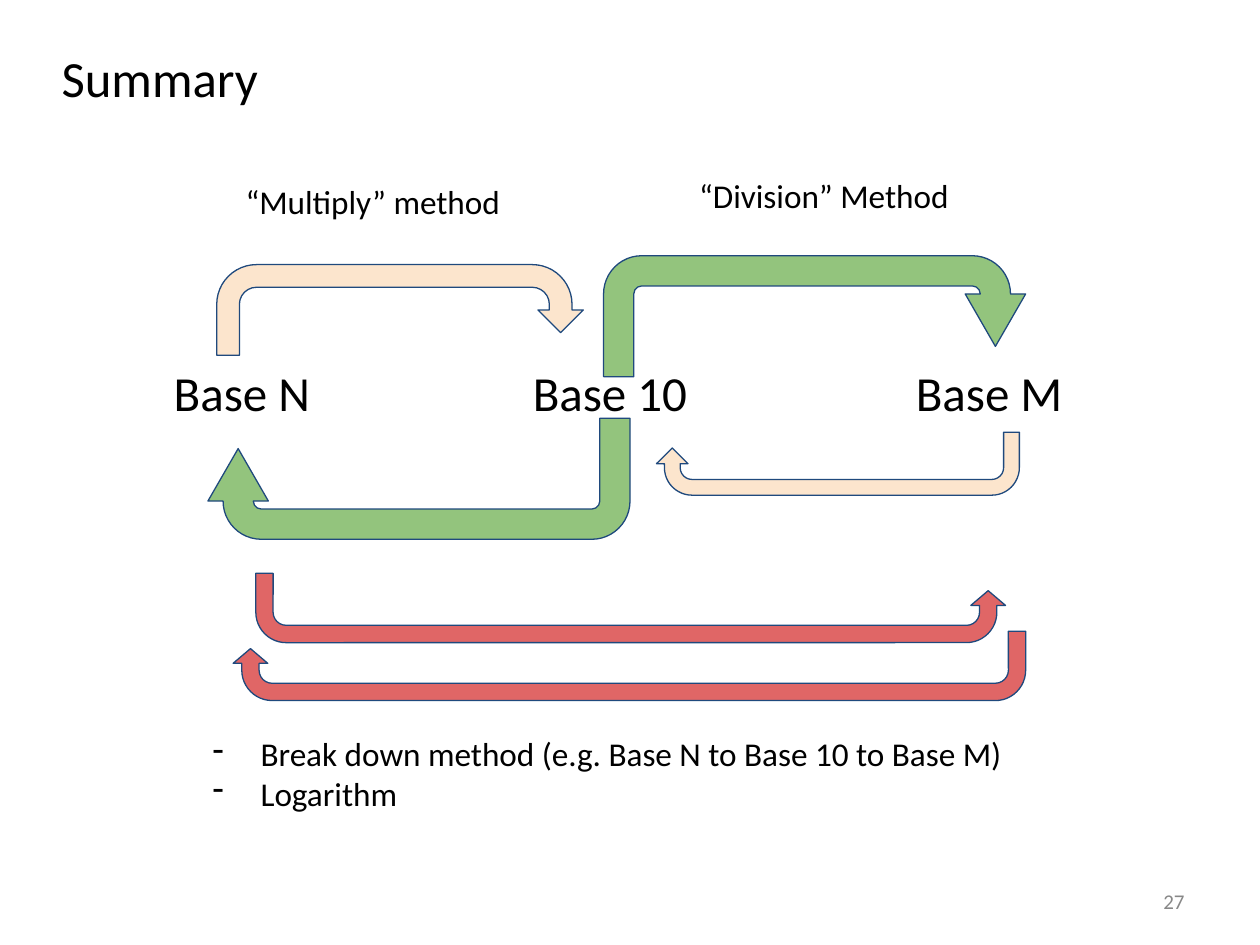
from dataclasses import dataclass

from lxml import etree
from pptx import Presentation, util as u
from pptx.dml.color import RGBColor
from pptx.enum import shapes, text
from pptx.oxml import ns


@dataclass(frozen=True)
class Theme:
    """Colours, font and type sizes of the slide."""
    font: str = "Calibri"
    ink: str = "000000"
    muted: str = "888888"
    outline: str = "1F497D"
    multiply: str = "FCE5CD"
    divide: str = "93C47D"
    direct: str = "E06666"
    heading: int = 29
    base: int = 28
    body: int = 19
    page: int = 12


THEME = Theme()
COLUMNS, ROWS = 100, 75
CELL = u.Inches(0.1)


def apply(target, values):
    """Set each named attribute of the target."""
    for name, value in values.items():
        setattr(target, name, value)


def cells(*lengths):
    """Convert grid columns and rows to slide lengths."""
    return [round(length * CELL) for length in lengths]


def add_dash(paragraph):
    """Give a paragraph a hanging dash."""
    properties = paragraph._p.get_or_add_pPr()
    properties.set("marL", str(u.Inches(0.5)))
    properties.set("indent", str(u.Inches(-0.38)))
    colour = etree.SubElement(properties, ns.qn("a:buClr"))
    etree.SubElement(colour, ns.qn("a:srgbClr"), val=THEME.ink)
    etree.SubElement(properties, ns.qn("a:buChar"), char="-")


def add_label(slide, box, lines, size, colour=THEME.ink, dashed=False,
              anchor=text.MSO_ANCHOR.TOP, align=text.PP_ALIGN.LEFT):
    """Add a text box with one paragraph per line."""
    frame = slide.shapes.add_textbox(*cells(*box)).text_frame
    apply(frame, {"word_wrap": True, "vertical_anchor": anchor})
    frame.text = "\n".join(lines)
    for paragraph in frame.paragraphs:
        paragraph.alignment = align
        apply(paragraph.font, {"name": THEME.font, "size": u.Pt(size)})
        paragraph.font.color.rgb = RGBColor.from_string(colour)
        if dashed:
            add_dash(paragraph)


def add_turn(slide, box, colour, head, below=True, mirrored=False):
    """Add a U-turn arrow above or below the bases."""
    turn = slide.shapes.add_shape(shapes.MSO_SHAPE.U_TURN_ARROW, *cells(*box))
    for index, value in enumerate((0.25, 0.25, head, 0.438, 0.75)):
        turn.adjustments[index] = value
    turn.shadow.inherit = False
    turn.fill.solid()
    turn.fill.fore_color.rgb = RGBColor.from_string(colour)
    turn.line.color.rgb = RGBColor.from_string(THEME.outline)
    apply(turn.line, {"width": u.Pt(0.75)})
    apply(turn, {"rotation": 180 if below else 0})
    if mirrored:
        turn._element.spPr.xfrm.set("flipH", "1")


def add_bases(slide):
    """Add the row of number bases."""
    for column, base in ((12.8, "N"), (41.3, "10"), (71.7, "M")):
        add_label(slide, (column, 28.3, 14.8, 7.9), [f"Base {base}"], THEME.base)


def add_conversions(slide):
    """Add the arrows between the bases."""
    add_turn(slide, (17.2, 21, 29.1, 7.2), THEME.multiply, 0.25, below=False)
    add_turn(slide, (47.9, 20.3, 33.5, 9.6), THEME.divide, 0.434, below=False)
    add_turn(slide, (52.1, 34.3, 28.8, 5), THEME.multiply, 0.25)
    add_turn(slide, (16.5, 33.2, 33.5, 9.6), THEME.divide, 0.434)
    add_turn(slide, (18.5, 50.1, 62.9, 5.5), THEME.direct, 0.213)
    add_turn(slide, (20.3, 45.5, 59.5, 5.5), THEME.direct, 0.213, mirrored=True)


def add_methods(slide):
    """Add the names of the conversion methods."""
    add_label(slide, (18.5, 13.9, 24.8, 6.4), ["“Multiply” method"], THEME.body)
    add_label(slide, (54.5, 13.4, 24.4, 6.4), ["“Division” Method"], THEME.body)
    add_label(slide, (14.7, 57.7, 73.7, 7.9),
              ["Break down method (e.g. Base N to Base 10 to Base M)", "Logarithm"],
              THEME.body, dashed=True)


def main():
    """Build and save the summary slide."""
    deck = Presentation()
    apply(deck, {"slide_width": COLUMNS * CELL, "slide_height": ROWS * CELL})
    slide = deck.slides.add_slide(deck.slide_layouts[6])
    add_label(slide, (3.9, 3.2, 93.2, 6.4), ["Summary"], THEME.heading)
    add_bases(slide)
    add_conversions(slide)
    add_methods(slide)
    add_label(slide, (71.7, 69.5, 23.3, 4), ["27"], THEME.page, THEME.muted,
              anchor=text.MSO_ANCHOR.MIDDLE, align=text.PP_ALIGN.RIGHT)
    deck.save("out.pptx")


main()
